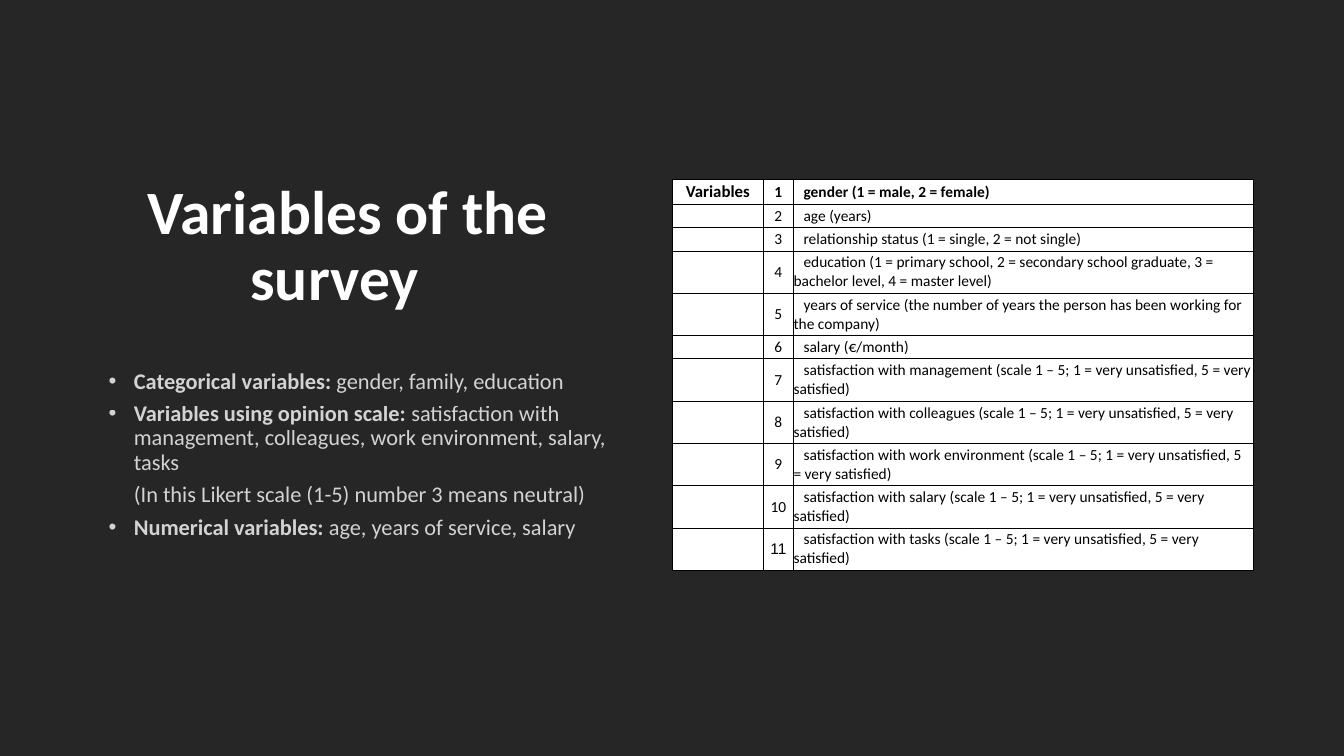
import pptx
import pptx.util
import pptx.dml.color
import pptx.enum.text
import pptx.oxml
import pptx.oxml.ns
from lxml import etree

Inches = pptx.util.Inches
Pt = pptx.util.Pt
ALIGN = pptx.enum.text.PP_ALIGN
ANCHOR = pptx.enum.text.MSO_ANCHOR
qn = pptx.oxml.ns.qn
COLORS = {"background": "262626", "light": "FFFFFF", "dark": "000000"}


def add_span(para, text, size=11, color="dark", bold=False, font="Calibri", opacity=100):
    span = para.add_run()
    span.text = text
    span.font.size = Pt(size)
    span.font.name = font
    span.font.bold = bold
    span.font.color.rgb = pptx.dml.color.RGBColor.from_string(COLORS[color])
    if opacity < 100:
        tint = span.font.fill._xPr.find(".//" + qn("a:srgbClr"))
        etree.SubElement(tint, qn("a:alpha"), val=str(opacity * 1000))


def set_indent(para, left, first):
    properties = para._p.get_or_add_pPr()
    properties.set("marL", str(Inches(left)))
    properties.set("indent", str(Inches(first)))
    return properties


deck = pptx.Presentation()
deck.slide_width, deck.slide_height = Inches(13.33), Inches(7.5)
slide = deck.slides.add_slide(deck.slide_layouts[6])
slide.background.fill.solid()
slide.background.fill.fore_color.rgb = pptx.dml.color.RGBColor.from_string(COLORS["background"])

# Title, with its first line pushed to the right
title = slide.shapes.add_textbox(Inches(0.92), Inches(1.69), Inches(4.8), Inches(1.53)).text_frame
title.word_wrap = True
title.vertical_anchor = ANCHOR.MIDDLE
para = title.paragraphs[0]
para.alignment = ALIGN.CENTER
para.line_spacing = 0.9
set_indent(para, 0, 0.26)
add_span(para, "Variables of the survey", size=44, color="light", bold=True)

# Kinds of variables: bold label, plain text; no label means no bullet
KINDS = [
    ("Categorical variables:", " gender, family, education"),
    ("Variables using opinion scale:",
     " satisfaction with management, colleagues, work environment, salary, tasks"),
    ("", "(In this Likert scale (1-5) number 3 means neutral)"),
    ("Numerical variables:", " age, years of service, salary"),
]
body = slide.shapes.add_textbox(Inches(0.92), Inches(3.62), Inches(5.27), Inches(2.41)).text_frame
body.word_wrap = True
for index, (label, text) in enumerate(KINDS):
    para = body.add_paragraph() if index else body.paragraphs[0]
    para.line_spacing = 0.9
    para.space_after = Pt(6)
    properties = set_indent(para, 0.31, -0.25 if label else 0)
    if label:
        etree.SubElement(properties, qn("a:buFont"), typeface="Arial")
        etree.SubElement(properties, qn("a:buChar"), char="•")
        add_span(para, label, size=16, color="light", bold=True, opacity=80)
    add_span(para, text, size=16, color="light", opacity=80)

# Table of variables
SCALE = " (scale 1 – 5; 1 = very\u00a0unsatisfied, 5 = very satisfied)".replace("\u00a0", " ")
TOPICS = ["management", "colleagues", "work environment", "salary", "tasks"]
VARIABLES = [
    "gender (1 = male, 2 = female)",
    "age (years)",
    "relationship status (1 = single, 2 = not single)",
    "education (1 = primary school, 2 = secondary school graduate, 3 = bachelor level, 4 = master level)",
    "years of service (the number of years the person has been working for the company)",
    "salary (€/month)",
] + ["satisfaction with " + topic + SCALE for topic in TOPICS]
COLUMN_WIDTHS = [0.9, 0.3, 4.56]
ROW_HEIGHTS = [0.25, 0.23, 0.23, 0.42, 0.42, 0.23] + [0.42] * len(TOPICS)

table = slide.shapes.add_table(len(VARIABLES), len(COLUMN_WIDTHS), Inches(6.67), Inches(1.78),
                               Inches(sum(COLUMN_WIDTHS)), Inches(sum(ROW_HEIGHTS))).table
for column, width in zip(table.columns, COLUMN_WIDTHS):
    column.width = Inches(width)

for row, (variable, height) in enumerate(zip(VARIABLES, ROW_HEIGHTS)):
    table.rows[row].height = Inches(height)
    heading = "" if row else "Variables"
    for column, text in enumerate([heading, str(row + 1), variable]):
        cell = table.cell(row, column)
        cell.margin_left = cell.margin_right = cell.margin_top = cell.margin_bottom = 0
        cell.vertical_anchor = ANCHOR.MIDDLE
        para = cell.text_frame.paragraphs[0]
        if column == 2:
            set_indent(para, 0, 0.1)
        else:
            para.alignment = ALIGN.CENTER
        if text:
            add_span(para, text, size=12 if column == 0 else 11, bold=row == 0,
                     font="Arial" if text == "11" else "Calibri")
        else:
            # A small end mark keeps empty cells from stretching the row
            etree.SubElement(para._p, qn("a:endParaRPr"), sz="1100")

        # Thin borders come before the fill in the cell properties
        cell_properties = cell._tc.get_or_add_tcPr()
        for side in ("a:lnL", "a:lnR", "a:lnT", "a:lnB"):
            border = etree.SubElement(cell_properties, qn(side), w=str(Pt(0.5)))
            paint = etree.SubElement(border, qn("a:solidFill"))
            etree.SubElement(paint, qn("a:srgbClr"), val=COLORS["dark"])
        cell.fill.solid()
        cell.fill.fore_color.rgb = pptx.dml.color.RGBColor.from_string(COLORS["light"])

deck.save("out.pptx")
